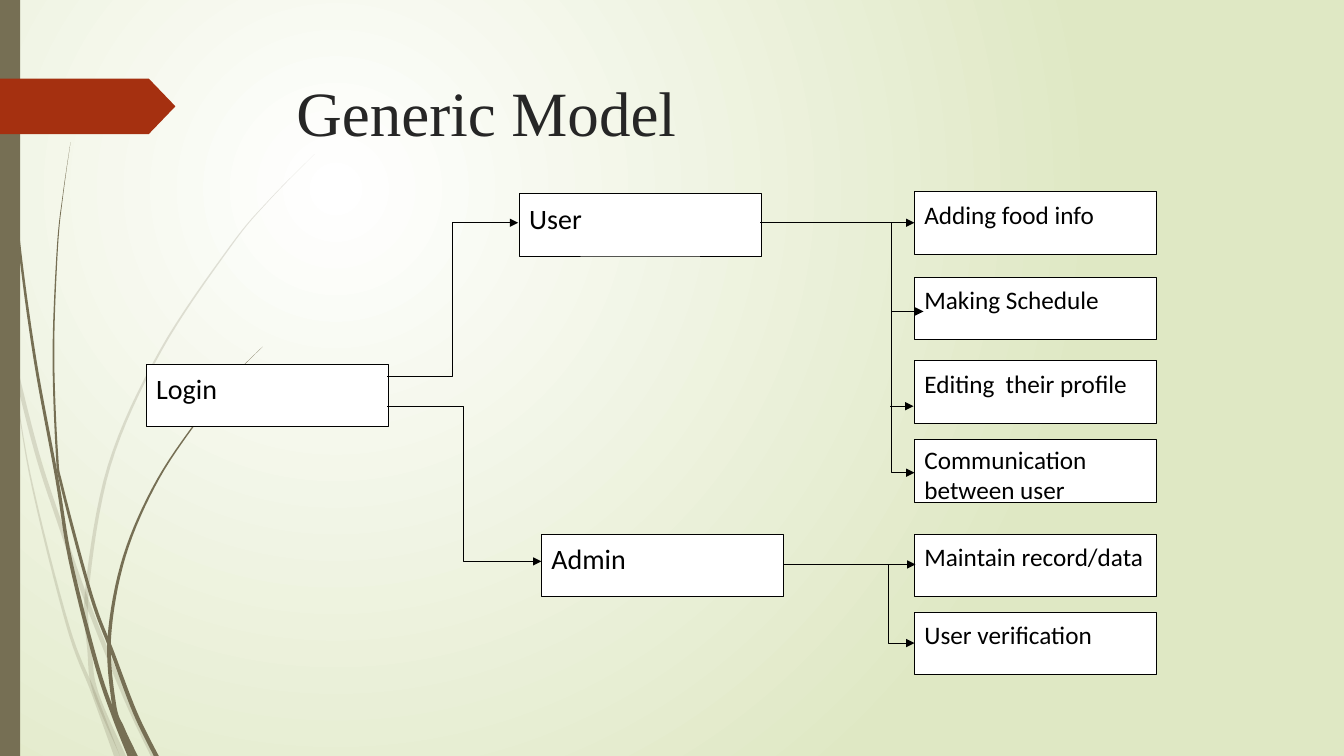
from dataclasses import dataclass

from lxml import etree
from pptx import Presentation
from pptx.dml.color import RGBColor
from pptx.enum.shapes import MSO_CONNECTOR, MSO_SHAPE
from pptx.enum.text import MSO_ANCHOR, MSO_AUTO_SIZE, PP_ALIGN
from pptx.oxml.ns import qn
from pptx.util import Inches, Pt

RECT, PLATE = MSO_SHAPE.RECTANGLE, MSO_SHAPE.PENTAGON
ELBOW, STRAIGHT = MSO_CONNECTOR.ELBOW, MSO_CONNECTOR.STRAIGHT
TOP, LEFT, NO_FIT = MSO_ANCHOR.TOP, PP_ALIGN.LEFT, MSO_AUTO_SIZE.NONE
COLORS = {"stem": "766F54", "banner": "A53010", "title": "262626",
          "ink": "000000", "box": "FFFFFF", "glow": "FFFFFF", "edge": "DFE8C4"}
BOX_W, BOX_H = 24, 6.2
STEPS = 8
Point = tuple[float, float]


@dataclass
class Node:
    col: float
    row: float
    lines: list[str]
    size: int = 18


@dataclass
class Arrow:
    start: Point
    end: Point
    bend: float | None = None


@dataclass
class Stem:
    knots: list[Point]
    thin: float
    thick: float
    faint: bool = False


TASK_COL = 90.7
NODES = [
    Node(14.5, 36.1, ["Login"], 20),
    Node(51.5, 19.2, ["User"], 20),
    Node(53.7, 53, ["Admin"], 20),
    Node(TASK_COL, 19, ["Adding food info"]),
    Node(TASK_COL, 27.5, ["Making Schedule"]),
    Node(TASK_COL, 35.8, ["Editing  their profile"]),
    Node(TASK_COL, 43.6, ["Communication", "between user"]),
    Node(TASK_COL, 53, ["Maintain record/data"]),
    Node(TASK_COL, 60.7, ["User verification"]),
]
ARROWS = [
    Arrow((38.4, 37.3), (51.4, 22.1), 44.9),
    Arrow((38.4, 40.3), (53.7, 55.7), 46),
    Arrow((75.4, 22.1), (TASK_COL, 22.1)),
    Arrow((85.1, 22.1), (91.6, 30.9), 88.4),
    Arrow((88.7, 30.9), (90.6, 40.3), 88.4),
    Arrow((88.3, 40.3), (TASK_COL, 46.9), 88.4),
    Arrow((77.8, 56), (90.8, 56)),
    Arrow((87.5, 56), (TASK_COL, 63.8), 88.1),
]
STEMS = [
    Stem([(0, 29), (1, 34.2), (3.6, 44.7), (6, 52.1), (8.6, 59.6),
          (12.5, 69.3), (15.2, 75)], 0.4, 0.5, True),
    Stem([(1.1, 35), (2.95, 47), (6.7, 62), (9.3, 68.8), (11.6, 75)],
         0, 0.6, True),
    Stem([(31.2, 15.3), (26.8, 19.75), (22.85, 24.45), (15.9, 34.85),
          (10.85, 46.15), (8.65, 58.4), (8.9, 64.6), (9.5, 68.7),
          (12.2, 75)], 0, 0.6, True),
    Stem([(0.35, 0), (0.45, 4.8), (0.75, 11), (1.8, 23.25), (3.45, 35.5),
          (5.65, 47.5), (7, 55.65), (9.55, 65.8), (11.3, 71), (12.9, 75)],
         0.1, 0.5),
    Stem([(7, 14.1), (6.25, 19.3), (5.7, 24.5), (5.3, 34.9), (5.65, 45),
          (6.2, 48.5), (9.05, 59.1), (11.1, 64.6), (13.4, 70.7), (15.5, 75)],
         0, 0.5),
    Stem([(26.05, 34.4), (23.1, 37.35), (20.45, 40.55), (15.7, 47.5),
          (12.35, 55.15), (10.85, 63.2), (11.3, 69.8), (12.1, 72.2),
          (13.4, 75)], 0, 0.55),
]


def grid(cells: float) -> int:
    return Inches(cells / 10)


def tint(name: str) -> RGBColor:
    return RGBColor.from_string(COLORS[name])


def paint(shape, fill: str, line: str | None = None) -> None:
    shape.shadow.inherit = False
    shape.fill.solid()
    shape.fill.fore_color.rgb = tint(fill)
    if line:
        shape.line.color.rgb = tint(line)
        shape.line.width = Pt(0.5)
    else:
        shape.line.fill.background()


def spline(a: float, b: float, c: float, d: float, t: float) -> float:
    return b + t / 2 * (c - a + t * (2 * a - 5 * b + 4 * c - d
                                     + t * (3 * (b - c) + d - a)))


def trace(knots: list[Point]) -> list[Point]:
    ends = [knots[0], *knots, knots[-1]]
    curve = []
    for a, b, c, d in zip(ends, ends[1:], ends[2:], ends[3:]):
        for step in range(STEPS):
            t = step / STEPS
            curve.append((spline(a[0], b[0], c[0], d[0], t),
                          spline(a[1], b[1], c[1], d[1], t)))
    return curve + [knots[-1]]


def draw_stem(slide, stem: Stem) -> None:
    curve = trace(stem.knots)
    left, right = [], []
    for i, (x, y) in enumerate(curve):
        half = (stem.thin + (stem.thick - stem.thin) * i / (len(curve) - 1)) / 2
        left.append((grid(max(0, x - half)), grid(y)))
        right.append((grid(x + half), grid(y)))
    rim = left + right[::-1]
    pen = slide.shapes.build_freeform(*rim[0])
    pen.add_line_segments(rim[1:], close=True)
    shape = pen.convert_to_shape()
    paint(shape, "stem")
    if stem.faint:
        color = shape._element.spPr.find(qn("a:solidFill"))[0]
        etree.SubElement(color, qn("a:alpha"), val="20000")


def draw_node(slide, node: Node) -> None:
    box = slide.shapes.add_shape(RECT, grid(node.col), grid(node.row),
                                 grid(BOX_W), grid(BOX_H))
    paint(box, "box", "ink")
    frame = box.text_frame
    frame.word_wrap = True
    frame.vertical_anchor = TOP
    frame.text = "\n".join(node.lines)
    for para in frame.paragraphs:
        para.alignment = LEFT
        if len(node.lines) == 1:
            para.line_spacing = 1.08
            para.space_after = Pt(8)
        para.font.name = "Calibri"
        para.font.size = Pt(node.size)
        para.font.color.rgb = tint("ink")


def draw_arrow(slide, arrow: Arrow) -> None:
    kind = STRAIGHT if arrow.bend is None else ELBOW
    ends = [grid(v) for v in arrow.start + arrow.end]
    link = slide.shapes.add_connector(kind, *ends)
    link.line.color.rgb = tint("ink")
    link.line.width = Pt(0.5)
    props = link._element.spPr
    etree.SubElement(props.find(qn("a:ln")), qn("a:tailEnd"), type="triangle")
    etree.SubElement(props, qn("a:effectLst"))
    if arrow.bend is not None:
        x, end = arrow.start[0], arrow.end[0]
        share = round((arrow.bend - x) / (end - x) * 100000)
        guides = props.find(qn("a:prstGeom")).find(qn("a:avLst"))
        etree.SubElement(guides, qn("a:gd"), name="adj1", fmla=f"val {share}")


def draw_back(slide) -> None:
    fill = slide.background.fill
    fill.gradient()
    for stop, name, place in zip(fill.gradient_stops, ("glow", "edge"), (0, 1)):
        stop.color.rgb = tint(name)
        stop.position = place
    grad = slide._element.cSld.find(".//" + qn("a:gradFill"))
    grad.remove(grad.find(qn("a:lin")))
    ring = etree.SubElement(grad, qn("a:path"), path="circle")
    etree.SubElement(ring, qn("a:fillToRect"),
                     l="50000", t="50000", r="100000", b="100000")
    for stem in STEMS:
        draw_stem(slide, stem)
    spine = slide.shapes.add_shape(RECT, 0, 0, grid(2), grid(75))
    paint(spine, "stem")
    banner = slide.shapes.add_shape(PLATE, 0, grid(7.8), grid(17.4), grid(5.5))
    banner.adjustments[0] = 0.48
    paint(banner, "banner")


def draw_title(slide) -> None:
    title = slide.shapes.title
    title.left, title.top = grid(28.4), grid(6.8)
    title.width, title.height = grid(97.5), grid(14)
    slide.shapes._spTree.append(title._element)
    frame = title.text_frame
    frame.text = "Generic Model"
    frame.vertical_anchor = TOP
    frame.auto_size = NO_FIT
    para = frame.paragraphs[0]
    para.alignment = LEFT
    para.font.name = "Times New Roman"
    para.font.size = Pt(45)
    para.font.color.rgb = tint("title")


def main() -> None:
    deck = Presentation()
    deck.slide_width, deck.slide_height = Inches(13.33), Inches(7.5)
    slide = deck.slides.add_slide(deck.slide_layouts[5])
    draw_back(slide)
    draw_title(slide)
    for node in NODES:
        draw_node(slide, node)
    for arrow in ARROWS:
        draw_arrow(slide, arrow)
    deck.save("out.pptx")


if __name__ == "__main__":
    main()
